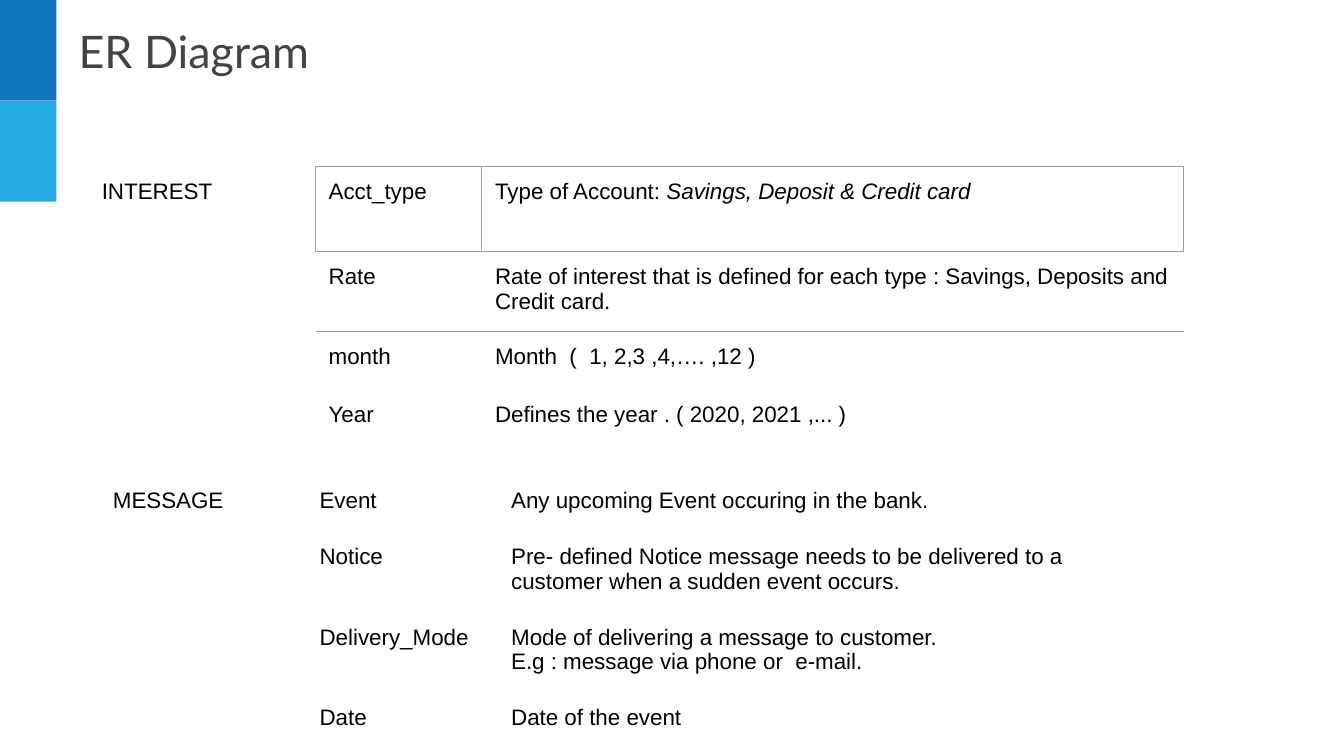
import dataclasses

import pptx
import pptx.dml.color
import pptx.enum.shapes
import pptx.enum.text
import pptx.oxml
import pptx.oxml.ns
import pptx.util

Inches = pptx.util.Inches


@dataclasses.dataclass(frozen=True)
class Theme:
    title_font: str = "Lato"
    body_font: str = "Arial"
    title_size: int = 32
    body_size: int = 16
    title_color: str = "434343"
    body_color: str = "000000"
    rule_color: str = "9E9E9E"
    rule_width: float = 0.75
    dark_band: str = "0F75BD"
    light_band: str = "25AAE2"
    inset: float = 0.13


THEME = Theme()

INTEREST_ROWS = [
    ["INTEREST", "Acct_type",
     [["Type of Account: ", ("Savings, Deposit & Credit card", True)]]],
    ["", "Rate",
     "Rate of interest that is defined for each type : Savings, Deposits and Credit card."],
    ["", "month", "Month  (  1, 2,3 ,4,…. ,12 )"],
    ["", "Year", "Defines the year . ( 2020, 2021 ,... )"],
]
INTEREST_RULES = {
    (0, 0): "R",
    (0, 1): "LRTB", (0, 2): "LRTB",
    (1, 1): "TB", (1, 2): "TB",
    (2, 1): "T", (2, 2): "T",
}

MESSAGE_ROWS = [
    ["MESSAGE", "Event", "Any upcoming Event occuring in the bank."],
    ["", "Notice",
     "Pre- defined Notice message needs to be delivered to a customer when a sudden event occurs."],
    ["", "Delivery_Mode",
     [["Mode of delivering a message to customer."],
      ["E.g : message via phone or  e-mail."]]],
    ["", "Date", "Date of the event"],
]


def rgb(color):
    return pptx.dml.color.RGBColor.from_string(color)


def write_text(frame, content, *, font=THEME.body_font, size=THEME.body_size,
               color=THEME.body_color):
    frame.word_wrap = True
    paragraphs = [[content]] if isinstance(content, str) else content
    for index, pieces in enumerate(paragraphs):
        paragraph = frame.paragraphs[0] if index == 0 else frame.add_paragraph()
        paragraph.alignment = pptx.enum.text.PP_ALIGN.LEFT
        for piece in pieces:
            words, italic = (piece, False) if isinstance(piece, str) else piece
            run = paragraph.add_run()
            run.text = words
            run.font.name = font
            run.font.size = pptx.util.Pt(size)
            run.font.italic = italic
            run.font.color.rgb = rgb(color)


def set_insets(owner):
    owner.margin_left = owner.margin_right = Inches(THEME.inset)
    owner.margin_top = owner.margin_bottom = Inches(THEME.inset)


def place_title(slide, words):
    title = slide.shapes.title
    title.left, title.top = Inches(0.65), Inches(0.11)
    title.width, title.height = Inches(10.86), Inches(0.77)
    frame = title.text_frame
    frame.auto_size = pptx.enum.text.MSO_AUTO_SIZE.NONE
    frame.vertical_anchor = pptx.enum.text.MSO_ANCHOR.TOP
    set_insets(frame)
    write_text(frame, words, font=THEME.title_font, size=THEME.title_size,
               color=THEME.title_color)


def add_band(slide, top, color):
    band = slide.shapes.add_shape(pptx.enum.shapes.MSO_SHAPE.RECTANGLE,
                                  0, Inches(top), Inches(0.56), Inches(1))
    band.shadow.inherit = False
    band.fill.solid()
    band.fill.fore_color.rgb = rgb(color)
    band.line.fill.background()


def set_borders(cell, ruled_sides):
    properties = cell._tc.get_or_add_tcPr()
    namespace = pptx.oxml.ns.nsdecls("a")
    width = pptx.util.Pt(THEME.rule_width)
    for position, side in enumerate("LRTB"):
        paint = "<a:noFill/>"
        if side in ruled_sides:
            paint = f'<a:solidFill><a:srgbClr val="{THEME.rule_color}"/></a:solidFill>'
        border = pptx.oxml.parse_xml(
            f'<a:ln{side} {namespace} w="{width}">{paint}</a:ln{side}>')
        properties.insert(position, border)


def add_attribute_table(slide, rows, left, top, widths, heights, rules):
    table = slide.shapes.add_table(
        len(rows), len(widths), Inches(left), Inches(top),
        Inches(sum(widths)), Inches(sum(heights))).table
    table.first_row = False
    table.horz_banding = False
    for column, width in zip(table.columns, widths):
        column.width = Inches(width)
    for row, height in zip(table.rows, heights):
        row.height = Inches(height)
    for row_index, entries in enumerate(rows):
        for column_index, content in enumerate(entries):
            cell = table.cell(row_index, column_index)
            set_insets(cell)
            cell.fill.background()
            set_borders(cell, rules.get((row_index, column_index), ""))
            if content:
                write_text(cell.text_frame, content)


def main():
    deck = pptx.Presentation()
    deck.slide_width, deck.slide_height = Inches(13.33), Inches(7.5)
    slide = deck.slides.add_slide(deck.slide_layouts.get_by_name("Title Only"))
    place_title(slide, "ER Diagram")
    for top, color in enumerate((THEME.dark_band, THEME.light_band)):
        add_band(slide, top, color)
    add_attribute_table(slide, INTEREST_ROWS, 0.88, 1.65, (2.25, 1.65, 6.96),
                        (0.84, 0.8, 0.57, 0.57), INTEREST_RULES)
    add_attribute_table(slide, MESSAGE_ROWS, 0.99, 4.71, (2.05, 1.9, 6.6),
                        (0.56, 0.8, 0.8, 0.56), {})
    deck.save("out.pptx")


if __name__ == "__main__":
    main()
